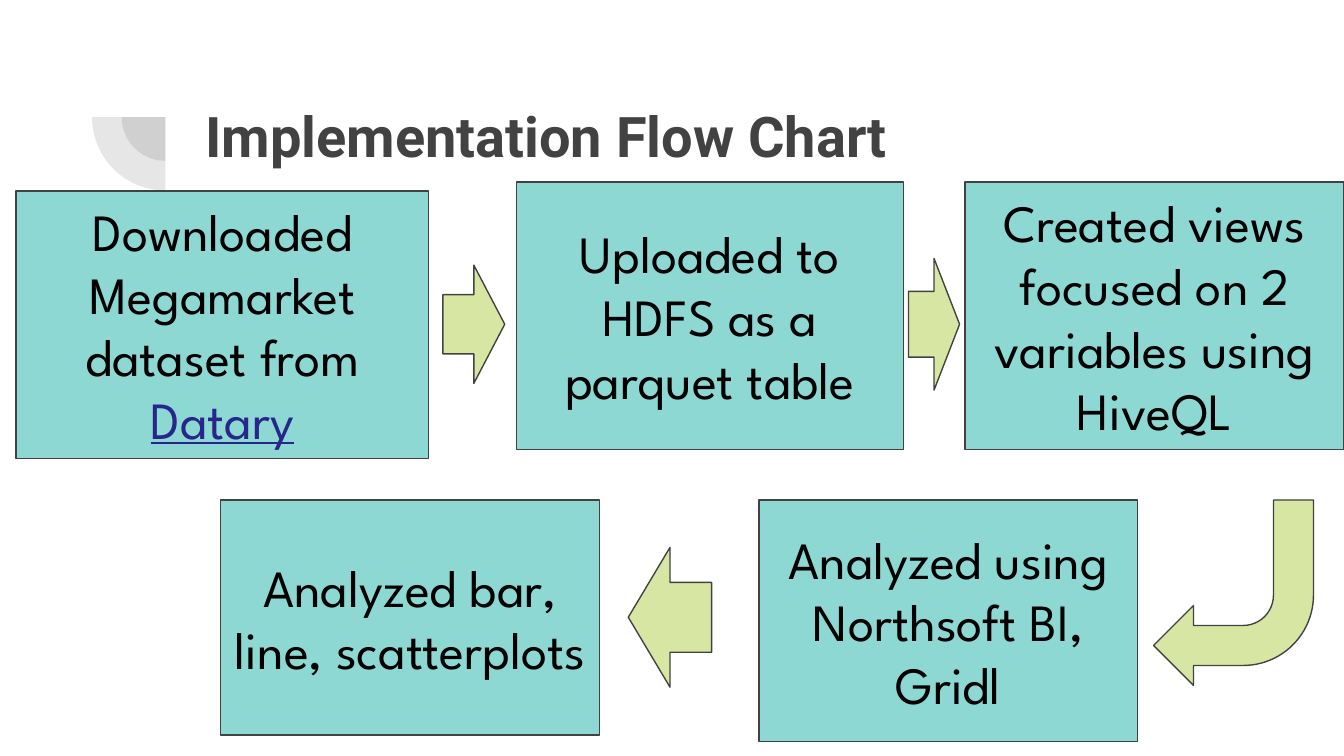
from lxml import etree
from pptx import Presentation
from pptx.dml.color import RGBColor
from pptx.enum.shapes import MSO_SHAPE
from pptx.enum.text import MSO_ANCHOR, PP_ALIGN
from pptx.oxml.ns import qn
from pptx.util import Inches, Pt

RECTANGLE = MSO_SHAPE.RECTANGLE
RIGHT_ARROW = MSO_SHAPE.RIGHT_ARROW
BENT_ARROW = MSO_SHAPE.BENT_ARROW
PIE = MSO_SHAPE.PIE
CENTER, LEFT = PP_ALIGN.CENTER, PP_ALIGN.LEFT
MIDDLE, TOP = MSO_ANCHOR.MIDDLE, MSO_ANCHOR.TOP

CELL = Inches(0.1)  # the slide is a 16:9 grid of 100 columns by 56.25 rows
COLUMNS, ROWS = 100, 56.25
DARK, TEAL, LIME, BLACK, LINK = "424242", "8DD8D3", "D7E6A3", "000000", "27278B"
UPPER_ROW, LOWER_ROW = 13.54, 37.2
UPPER_ARROWS, LOWER_ARROWS = 24.13, 45.93
BOX_WIDTH, BOX_HEIGHT = 28.2, 19.9


def color(hex_string):
    return RGBColor.from_string(hex_string)


def grid(*cells):
    return [round(cell * CELL) for cell in cells]


def add_text(shape, *runs, font="League Spartan", size=28, bold=False,
             align=CENTER, anchor=MIDDLE):
    """Write one paragraph from runs of (text, hex colour, underlined)."""
    frame = shape.text_frame
    frame.word_wrap = True
    frame.vertical_anchor = anchor
    frame.margin_left = frame.margin_right = CELL
    frame.margin_top = frame.margin_bottom = CELL
    paragraph = frame.paragraphs[0]
    paragraph.alignment = align
    for text, hex_string, underlined in runs:
        run = paragraph.add_run()
        run.text = text
        run.font.name = font
        run.font.size = Pt(size)
        run.font.bold = bold
        run.font.underline = underlined
        run.font.color.rgb = color(hex_string)


def add_filled(slide, kind, cells, fill, rotation=0):
    shape = slide.shapes.add_shape(kind, *grid(*cells))
    shape.shadow.inherit = False
    shape.rotation = rotation
    shape.fill.solid()
    shape.fill.fore_color.rgb = color(fill)
    shape.line.color.rgb = color(DARK)
    shape.line.width = Pt(0.75)
    return shape


def add_quarter(slide, center_x, center_y, diameter):
    """Add a translucent lower-left quarter disc."""
    left, top = center_x - diameter / 2, center_y - diameter / 2
    pie = add_filled(slide, PIE, (left, top, diameter, diameter), DARK, 270)
    pie.adjustments[0], pie.adjustments[1] = 107.93, 162
    pie.line.fill.background()
    fill_color = pie._element.spPr.find(qn("a:solidFill"))[0]
    etree.SubElement(fill_color, qn("a:alpha"), val="13000")


def add_step(slide, cells, *runs):
    add_text(add_filled(slide, RECTANGLE, cells, TEAL), *runs)


def add_arrow(slide, left, middle, width, height, rotation=0):
    cells = (left, middle - height / 2, width, height)
    add_filled(slide, RIGHT_ARROW, cells, LIME, rotation)


def add_turn(slide, cells):
    """Add the arrow that leads from the upper row down to the lower one."""
    turn = add_filled(slide, BENT_ARROW, cells, LIME, 180)
    for index, value in enumerate((0.25, 0.25, 0.25, 0.44)):
        turn.adjustments[index] = value


def main():
    presentation = Presentation()
    presentation.slide_width, presentation.slide_height = grid(COLUMNS, ROWS)
    slide = presentation.slides.add_slide(presentation.slide_layouts[6])

    for diameter in (6.5, 10.9):
        add_quarter(slide, 12.3, 8.72, diameter)
    title = slide.shapes.add_textbox(*grid(14.3, 6.54, 76.9, 10.9))
    add_text(title, ("Implementation Flow Chart", DARK, False),
             font="Roboto", size=30, bold=True, align=LEFT, anchor=TOP)

    add_step(slide, (1.2, 14.2, 30.7, BOX_HEIGHT),
             ("Downloaded Megamarket dataset from ", BLACK, False),
             ("Datary", LINK, True))
    steps = [
        ((38.42, UPPER_ROW, 28.8, BOX_HEIGHT),
         "Uploaded to HDFS as a parquet table"),
        ((COLUMNS - BOX_WIDTH, UPPER_ROW, BOX_WIDTH, BOX_HEIGHT),
         "Created views focused on 2 variables using HiveQL"),
        ((56.46, LOWER_ROW, BOX_WIDTH, 18),
         "Analyzed using Northsoft BI, Gridl"),
        ((16.42, LOWER_ROW, BOX_WIDTH, 17.5),
         "Analyzed bar, line, scatterplots"),
    ]
    for cells, text in steps:
        add_step(slide, cells, (text, BLACK, False))

    add_arrow(slide, 32.96, UPPER_ARROWS, 4.6, 8.8)
    add_turn(slide, (85.83, LOWER_ROW, 11.9, 13.8))
    add_arrow(slide, 67.6, UPPER_ARROWS, 3.8, 9.8)
    add_arrow(slide, 46.75, LOWER_ARROWS, 6.2, 10.4, rotation=180)

    presentation.save("out.pptx")


if __name__ == "__main__":
    main()
